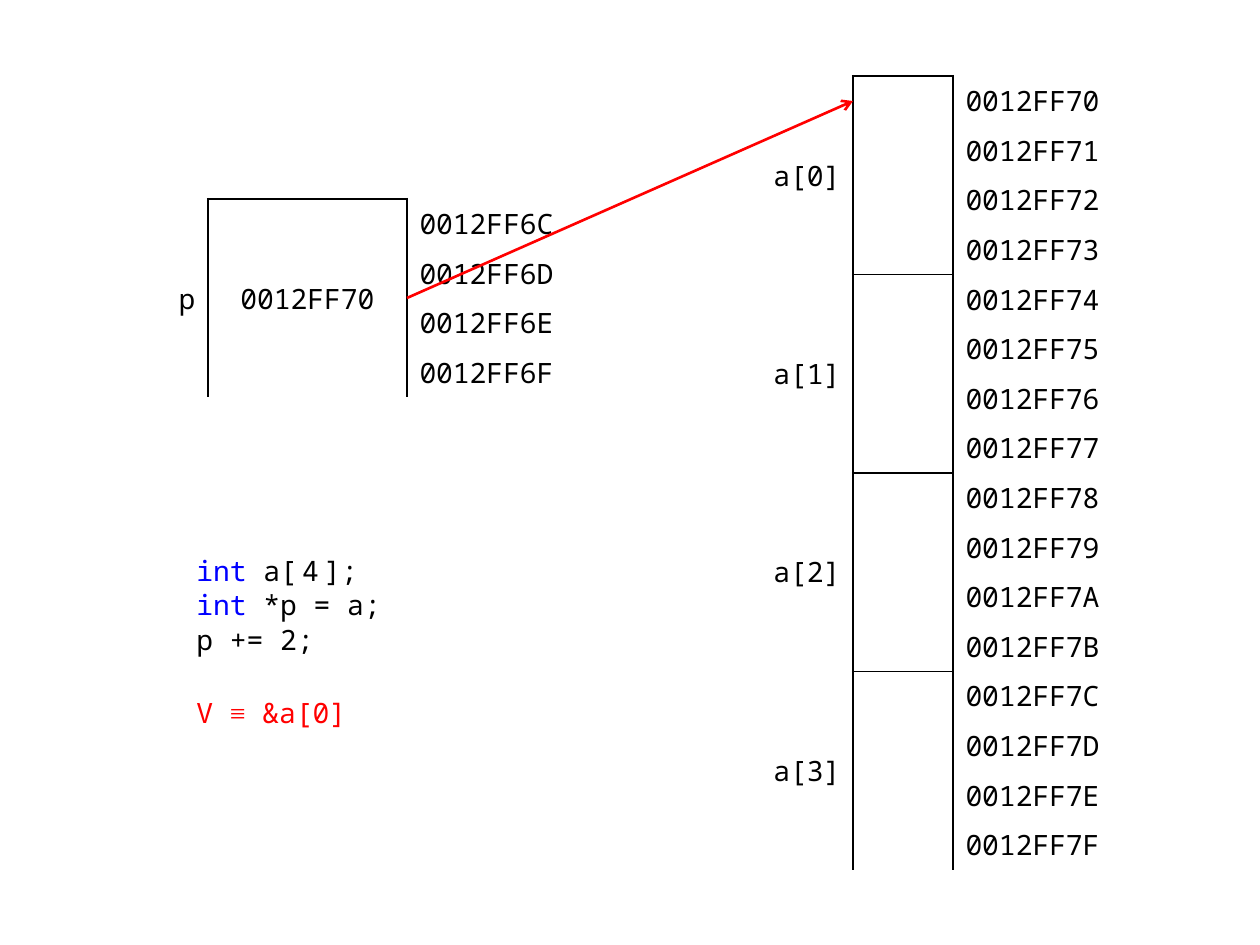
from lxml.etree import SubElement
from pptx import Presentation
from pptx.dml.color import RGBColor
from pptx.enum.shapes import MSO_CONNECTOR
from pptx.enum.text import MSO_ANCHOR, PP_ALIGN as ALIGN
from pptx.oxml.ns import qn
from pptx.util import Emu, Pt

COLORS = {"ink": "000000", "keyword": "0000FF", "accent": "FF0000"}
MONO, SERIF = "Noto Sans Mono", "Times New Roman"
NO_STYLE = "{2D5ABB26-0587-4C30-8999-92F81FD0307C}"
BYTES = 4  # size of an int and of a pointer


def px(n):
    return Emu(round(n * 914400 / 126))


def add_memory(left, top, widths, variables, first_address):
    """Add a table of variables: name, boxed value, and one address per byte.

    variables is a list of (name, value) pairs.
    """
    count = len(variables) * BYTES
    row_height = px(794) // 16
    table = slide.shapes.add_table(count, 3, px(left), px(top), px(sum(widths)),
                                   row_height * count).table
    table.first_row = table.horz_banding = False
    table._tbl.tblPr.find(qn("a:tableStyleId")).text = NO_STYLE
    for column, width in zip(table.columns, widths):
        column.width = px(width)

    for i, row in enumerate(table.rows):
        row.height = row_height
        index, byte = divmod(i, BYTES)
        name, value = variables[index] if byte == 0 else ("", "")
        texts = (name, value, f"{first_address + i:08X}")
        for cell, text, align in zip(row.cells, texts, (ALIGN.RIGHT, ALIGN.CENTER, ALIGN.LEFT)):
            cell.vertical_anchor = MSO_ANCHOR.MIDDLE
            cell.margin_top = cell.margin_bottom = px(2)
            cell.text_frame.text = text
            paragraph = cell.text_frame.paragraphs[0]
            paragraph.alignment = align
            for run in paragraph.runs:
                run.font.name, run.font.size = MONO, Pt(16)
                run.font.color.rgb = RGBColor.from_string(COLORS["ink"])

        borders = {"lnL": 1.5, "lnR": 1.5}
        if byte == 0:
            borders["lnT"] = 1.5 if i == 0 else 1
        if byte == BYTES - 1:
            borders["lnB"] = 1.5 if i == count - 1 else 1
        for side, weight in borders.items():
            line = SubElement(row.cells[1]._tc.get_or_add_tcPr(), qn(f"a:{side}"),
                              w=str(Pt(weight)))
            SubElement(SubElement(line, qn("a:solidFill")), qn("a:srgbClr"), val=COLORS["ink"])
        for cell in row.cells:
            cell.fill.background()

    for start in range(0, count, BYTES):
        for column in (0, 1):
            table.cell(start, column).merge(table.cell(start + BYTES - 1, column))


prs = Presentation()
prs.slide_width, prs.slide_height = px(1260), px(945)
slide = prs.slides.add_slide(prs.slide_layouts[6])

# Code: (space before in points, runs of text, colour, font, letter spacing)
CODE = [
    (0, [("int ", "keyword", MONO, 0), ("a", "ink", MONO, 0),
         ("[4", "ink", MONO, 3), ("];", "ink", MONO, 0)]),
    (0.5, [("int ", "keyword", MONO, 0), ("*p = a;", "ink", MONO, 0)]),
    (0.5, [("p += 2;", "ink", MONO, 0)]),
    (22.8, [("V ", "accent", MONO, 0), ("≡", "accent", SERIF, 0),
            (" &a[0]", "accent", MONO, 0)]),
]
code = slide.shapes.add_textbox(px(184), px(547), px(223), px(223)).text_frame
code.word_wrap = True
for i, (space_before, pieces) in enumerate(CODE):
    paragraph = code.add_paragraph() if i else code.paragraphs[0]
    paragraph.space_before = Pt(space_before)
    for text, color, font, spacing in pieces:
        run = paragraph.add_run()
        run.text = text
        run.font.name, run.font.size = font, Pt(16)
        run.font.color.rgb = RGBColor.from_string(COLORS[color])
        if spacing:
            run.font._element.set("spc", str(spacing * 100))

# Array and pointer in memory
add_memory(753, 76, (100, 100, 174), [(f"a[{n}]", "") for n in range(4)], 0x0012FF70)
add_memory(84, 199, (124, 199, 198), [("p", "0012FF70")], 0x0012FF6C)

# Arrow from the pointer to the first byte of the array
pointer = slide.shapes.add_connector(MSO_CONNECTOR.STRAIGHT, px(407), px(298), px(853), px(101))
pointer.line.color.rgb = RGBColor.from_string(COLORS["accent"])
pointer.line.width = Pt(1.5)
SubElement(pointer.line._get_or_add_ln(), qn("a:tailEnd"), type="arrow")
SubElement(pointer._element.spPr, qn("a:effectLst"))

prs.save("out.pptx")
